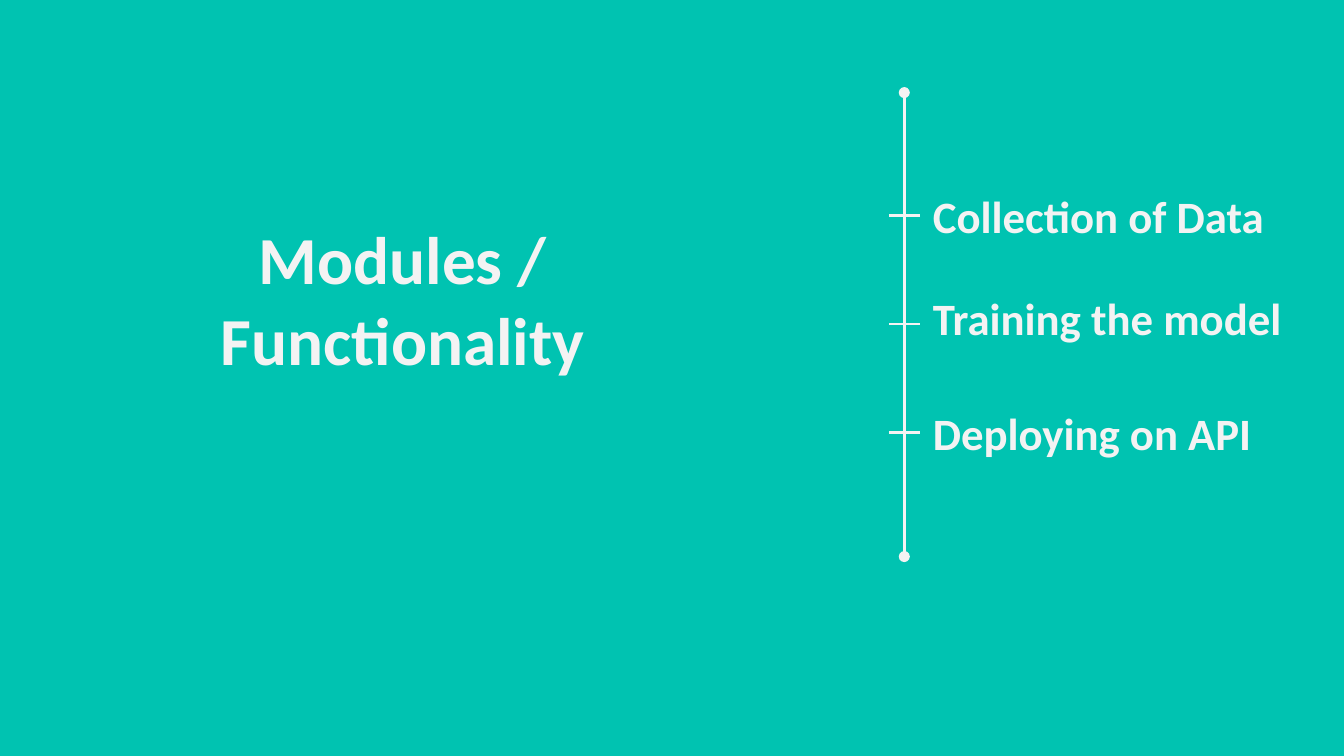
from lxml.etree import SubElement
from pptx import Presentation
from pptx.dml.color import RGBColor
from pptx.enum.shapes import MSO_CONNECTOR
from pptx.enum.text import MSO_ANCHOR, MSO_AUTO_SIZE, PP_ALIGN
from pptx.oxml.ns import qn
from pptx.util import Cm, Pt

TITLE = "Modules / Functionality"
MODULES = [
    ("Collection of Data", MSO_ANCHOR.MIDDLE),
    ("Training the model", MSO_ANCHOR.TOP),
    ("Deploying on API", MSO_ANCHOR.MIDDLE),
]
TEAL, PALE = "00C3B1", "F3F3F3"
AXIS_X, AXIS_TOP, AXIS_BOTTOM = 17.09, 1.75, 10.52
TICK_HALF = 0.29
LABEL_TOP, LABEL_WIDTH, LABEL_HEIGHT, LABEL_STEP = 3.2, 7.26, 1.75, 2.05
FRAME_FORMAT = {
    "word_wrap": True,
    "auto_size": MSO_AUTO_SIZE.NONE,
    "margin_left": Cm(0.25),
    "margin_right": Cm(0.25),
    "margin_top": Cm(0.25),
    "margin_bottom": Cm(0.25),
}


def paint(color_format, color):
    color_format.rgb = RGBColor.from_string(color)


def apply_format(target, values):
    for name, value in values.items():
        setattr(target, name, value)


def write(shape, words, size, anchor, alignment):
    frame = shape.text_frame
    frame.text = words
    apply_format(frame, {**FRAME_FORMAT, "vertical_anchor": anchor})
    paragraph = frame.paragraphs[0]
    paragraph.alignment = alignment
    font = paragraph.runs[0].font
    apply_format(font, {"name": "Calibri", "size": Pt(size), "bold": True})
    paint(font.color, PALE)


def draw_line(slide, x1, y1, x2, y2, ends=()):
    line = slide.shapes.add_connector(
        MSO_CONNECTOR.STRAIGHT, Cm(x1), Cm(y1), Cm(x2), Cm(y2))
    line.line.width = Pt(1.5)
    paint(line.line.fill.fore_color if line.line.fill.type else line.line.color, PALE)
    outline = line.line._get_or_add_ln()
    for end in ends:
        SubElement(outline, qn(end), type="oval", w="med", len="med")
    SubElement(line._element.spPr, qn("a:effectLst"))


def main():
    """Build the slide with the title and the timeline of modules."""
    deck = Presentation()
    deck.slide_width, deck.slide_height = Cm(25.4), Cm(14.29)
    slide = deck.slides.add_slide(deck.slide_layouts[5])
    slide.background.fill.solid()
    paint(slide.background.fill.fore_color, TEAL)

    title = slide.shapes.title
    apply_format(title, {"left": Cm(3.78), "top": Cm(3.86),
                         "width": Cm(7.67), "height": Cm(4.8)})
    write(title, TITLE, 36, MSO_ANCHOR.TOP, PP_ALIGN.CENTER)

    draw_line(slide, AXIS_X, AXIS_TOP, AXIS_X, AXIS_BOTTOM,
              ("a:headEnd", "a:tailEnd"))
    for index, (module, anchor) in enumerate(MODULES):
        top = LABEL_TOP + index * LABEL_STEP
        tick_y = top + LABEL_HEIGHT / 2
        label = slide.shapes.add_textbox(
            Cm(AXIS_X + TICK_HALF), Cm(top), Cm(LABEL_WIDTH), Cm(LABEL_HEIGHT))
        write(label, module, 24, anchor, PP_ALIGN.LEFT)
        draw_line(slide, AXIS_X - TICK_HALF, tick_y, AXIS_X + TICK_HALF, tick_y)

    deck.save("out.pptx")


if __name__ == "__main__":
    main()
